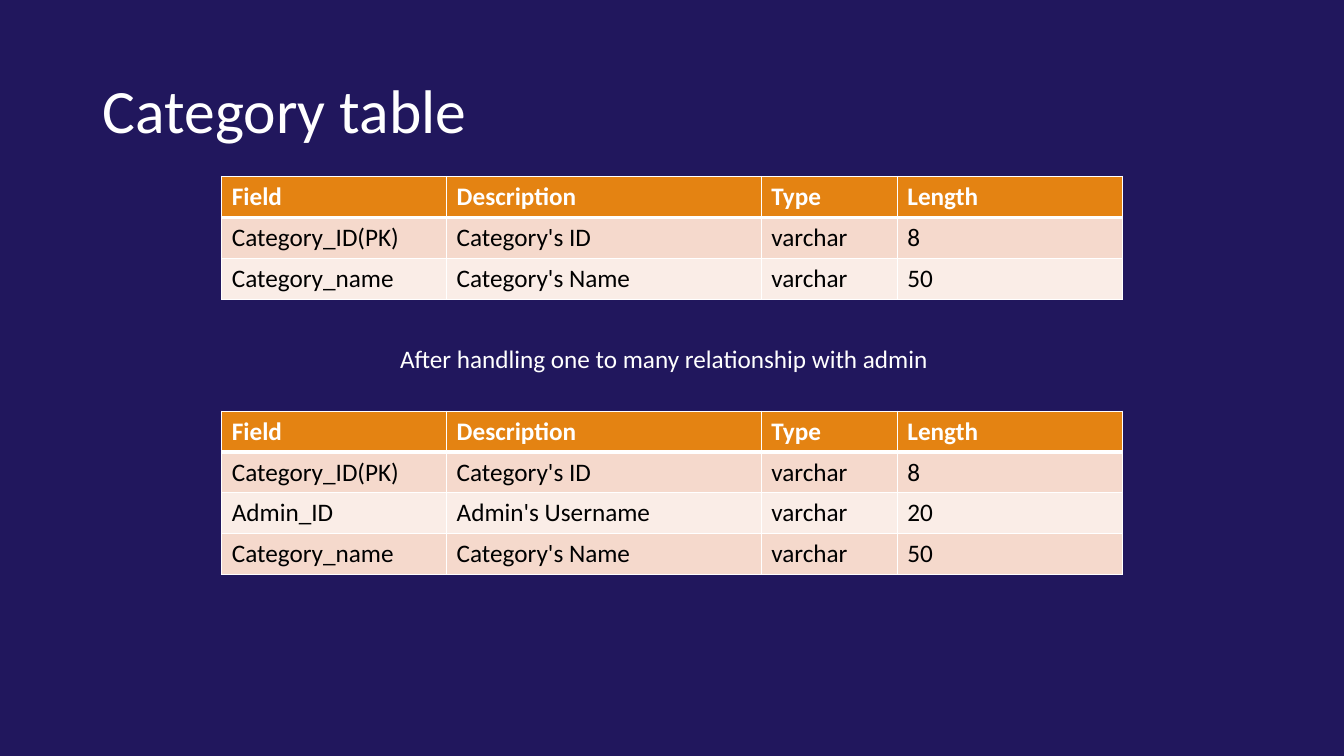
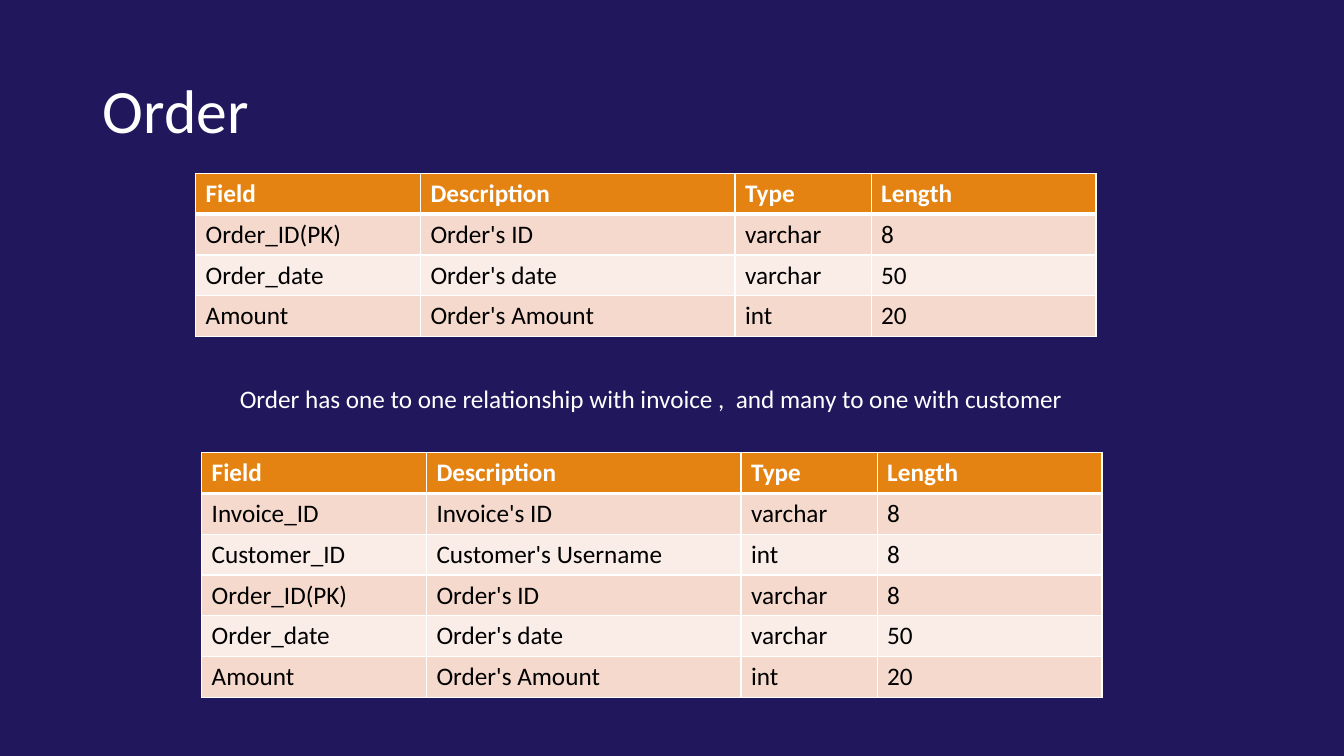
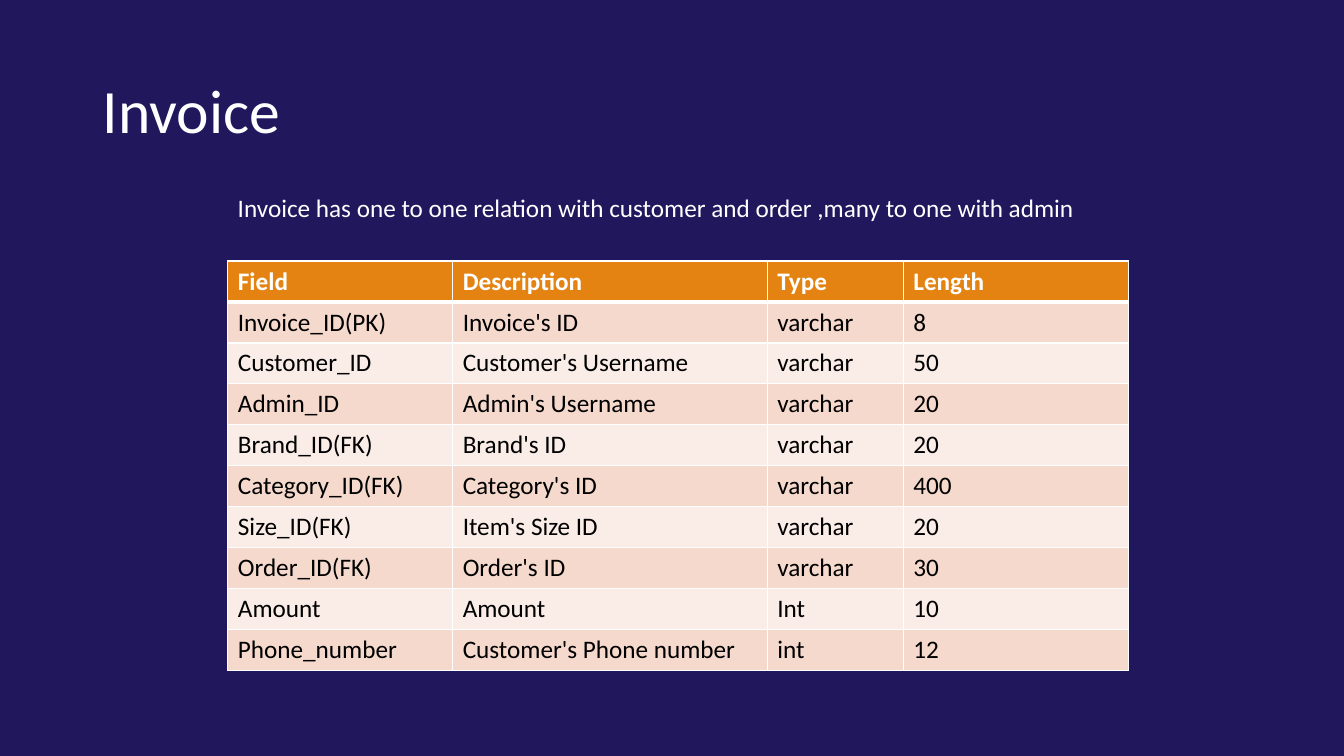
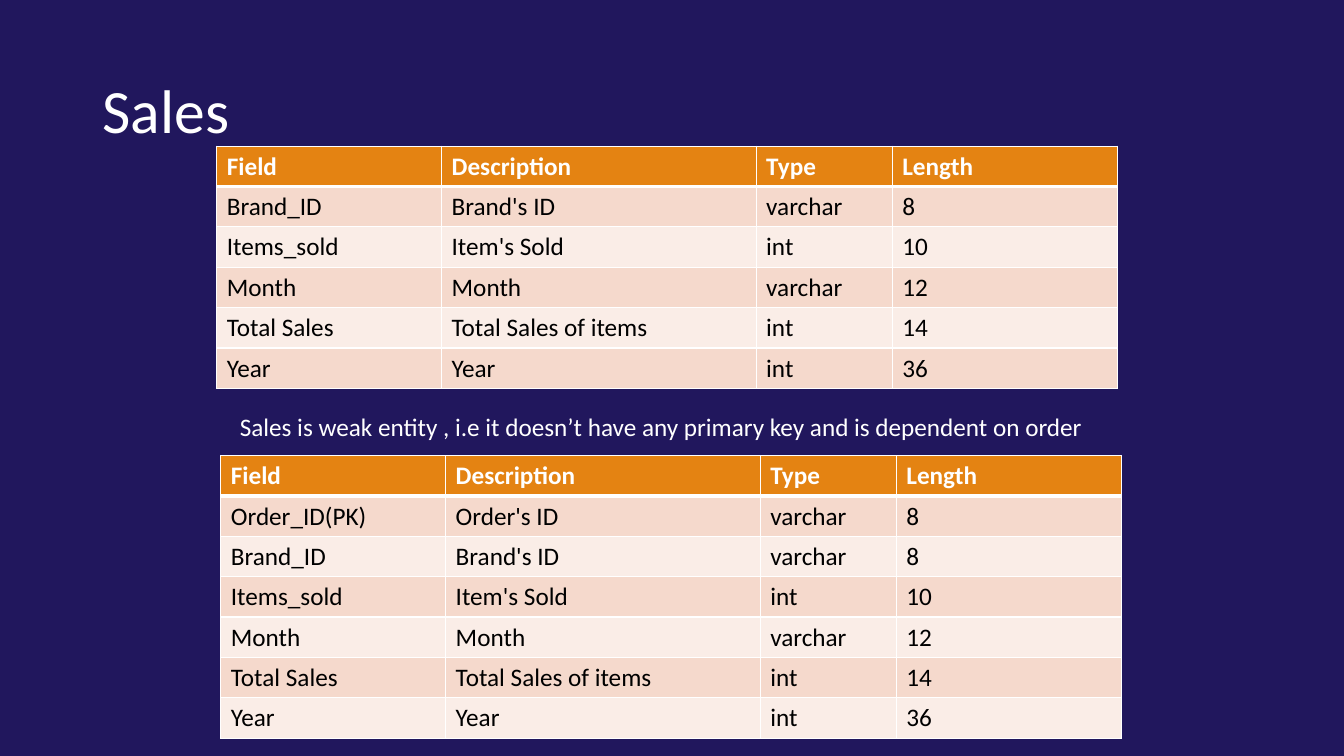
import pptx
import pptx.util
import pptx.dml.color
import pptx.enum.text
import pptx.oxml
import pptx.oxml.ns

Inches = pptx.util.Inches
Pt = pptx.util.Pt
Color = pptx.dml.color.RGBColor
Fit = pptx.enum.text.MSO_AUTO_SIZE
Anchor = pptx.enum.text.MSO_ANCHOR

NAVY = Color(0x21, 0x17, 0x5D)
WHITE = Color(0xFF, 0xFF, 0xFF)
BLACK = Color(0x00, 0x00, 0x00)
ORANGE = Color(0xE4, 0x83, 0x12)
BANDS = (Color(0xFA, 0xED, 0xE7), Color(0xF5, 0xD9, 0xCC))
FONT = "Calibri"
COLS = (2.23, 3.12, 1.35, 2.23)
HEAD = ("Field", "Description", "Type", "Length")

CAT_ID = ("Category_ID(PK)", "Category's ID", "varchar", "8")
CAT_NAME = ("Category_name", "Category's Name", "varchar", "50")
ADMIN = ("Admin_ID", "Admin's Username", "varchar", "20")
ORDER_ID = ("Order_ID(PK)", "Order's ID", "varchar", "8")
ORDER = [
    ORDER_ID,
    ("Order_date", "Order's date", "varchar", "50"),
    ("Amount", "Order's Amount", "int", "20"),
]
INVOICE = [
    ("Invoice_ID(PK)", "Invoice's ID", "varchar", "8"),
    ("Customer_ID", "Customer's Username", "varchar", "50"),
    ADMIN,
    ("Brand_ID(FK)", "Brand's ID", "varchar", "20"),
    ("Category_ID(FK)", "Category's ID", "varchar", "400"),
    ("Size_ID(FK)", "Item's Size ID", "varchar", "20"),
    ("Order_ID(FK)", "Order's ID", "varchar", "30"),
    ("Amount", "Amount", "Int", "10"),
    ("Phone_number", "Customer's Phone number", "int", "12"),
]
SALES = [
    ("Brand_ID", "Brand's ID", "varchar", "8"),
    ("Items_sold", "Item's Sold", "int", "10"),
    ("Month", "Month", "varchar", "12"),
    ("Total Sales", "Total Sales of items", "int", "14"),
    ("Year", "Year", "int", "36"),
]

SLIDES = [
    {
        "title": "Category table",
        "note": ("After handling one to many relationship with admin", 3.87, 3.36, 5.59),
        "tables": [
            (2.2, 1.75, 1.22, [CAT_ID, CAT_NAME]),
            (2.2, 4.08, 1.62, [CAT_ID, ADMIN, CAT_NAME]),
        ],
    },
    {
        "title": "Order",
        "note": (
            "Order has one to one relationship with invoice ,  and many to one with customer",
            2.28, 3.75, 8.6,
        ),
        "tables": [
            (1.94, 1.72, 1.62, ORDER),
            (2, 4.49, 2.43, [
                ("Invoice_ID", "Invoice's ID", "varchar", "8"),
                ("Customer_ID", "Customer's Username", "int", "8"),
                *ORDER,
            ]),
        ],
    },
    {
        "title": "Invoice",
        "note": (
            "Invoice has one to one relation with customer and order ,many to one with admin",
            2.26, 1.86, 8.6,
        ),
        "tables": [(2.26, 2.59, 4.06, INVOICE)],
    },
    {
        "title": "Sales",
        "note": (
            "Sales is weak entity , i.e it doesn’t have any primary key and is dependent on order",
            2.28, 4.03, 8.6,
        ),
        "tables": [
            (2.15, 1.45, 2.4, SALES),
            (2.19, 4.52, 2.8, [ORDER_ID, *SALES]),
        ],
    },
]


def add_run(para, text, size, color, bold=False):
    run = para.add_run()
    run.text = text
    run.font.name = FONT
    run.font.size = Pt(size)
    run.font.bold = bold
    run.font.color.rgb = color


def add_text(slide, text, left, top, width, height, size):
    box = slide.shapes.add_textbox(*map(Inches, (left, top, width, height)))
    box.text_frame.word_wrap = True
    add_run(box.text_frame.paragraphs[0], text, size, WHITE)
    return box.text_frame


def add_title(slide, text):
    frame = add_text(slide, text, 0.92, 0.4, 11.5, 1.45, 44)
    frame.vertical_anchor = Anchor.MIDDLE
    frame.paragraphs[0].line_spacing = 0.9


def add_edge(cell, side, width):
    cell._tc.get_or_add_tcPr().append(pptx.oxml.parse_xml(
        f'<a:ln{side} {pptx.oxml.ns.nsdecls("a")} w="{Pt(width)}">'
        f'<a:solidFill><a:srgbClr val="{WHITE}"/></a:solidFill></a:ln{side}>'
    ))


def fill_cell(cell, text, row):
    head = row == 0
    for side in "LRTB":
        if row != 1 or side != "T":
            add_edge(cell, side, 3 if head and side == "B" else 1)
    cell.fill.solid()
    cell.fill.fore_color.rgb = ORANGE if head else BANDS[row % 2]
    add_run(cell.text_frame.paragraphs[0], text, 18, WHITE if head else BLACK, head)


def add_grid(slide, left, top, height, body):
    rows = [HEAD, *body]
    size = map(Inches, (left, top, sum(COLS), height))
    grid = slide.shapes.add_table(len(rows), len(COLS), *size).table
    for col, width in zip(grid.columns, COLS):
        col.width = Inches(width)
    for r, row in enumerate(rows):
        grid.rows[r].height = Inches(height / len(rows))
        for c, text in enumerate(row):
            fill_cell(grid.cell(r, c), text, r)


def main():
    deck = pptx.Presentation()
    deck.slide_width = Inches(13.33)
    deck.slide_height = Inches(7.5)
    back = deck.slide_master.background.fill
    back.solid()
    back.fore_color.rgb = NAVY
    for page in SLIDES:
        slide = deck.slides.add_slide(deck.slide_layouts[6])
        add_title(slide, page["title"])
        note = add_text(slide, *page["note"], 0.4, 18)
        note.auto_size = Fit.SHAPE_TO_FIT_TEXT
        for table in page["tables"]:
            add_grid(slide, *table)
    deck.save("out.pptx")


if __name__ == "__main__":
    main()
